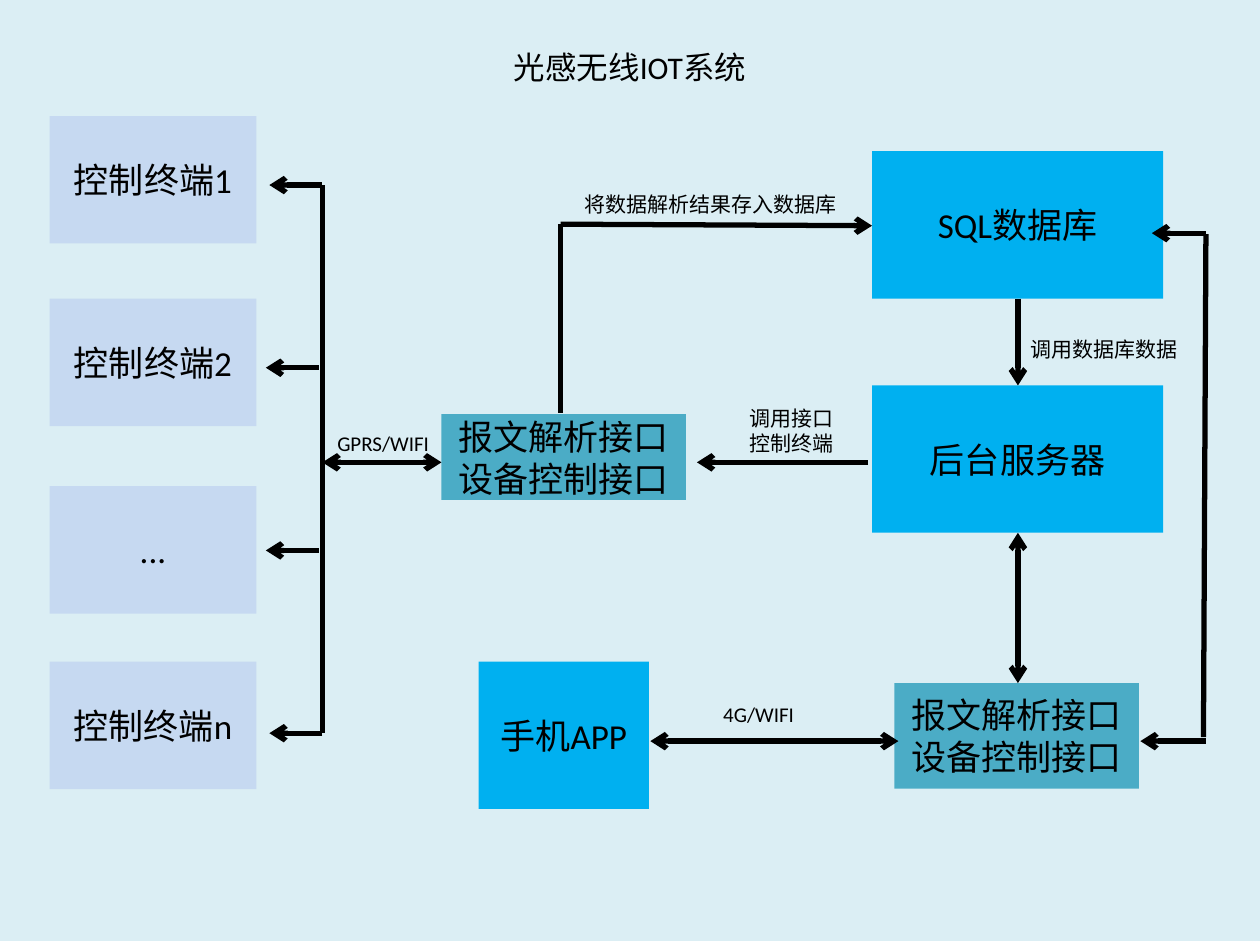
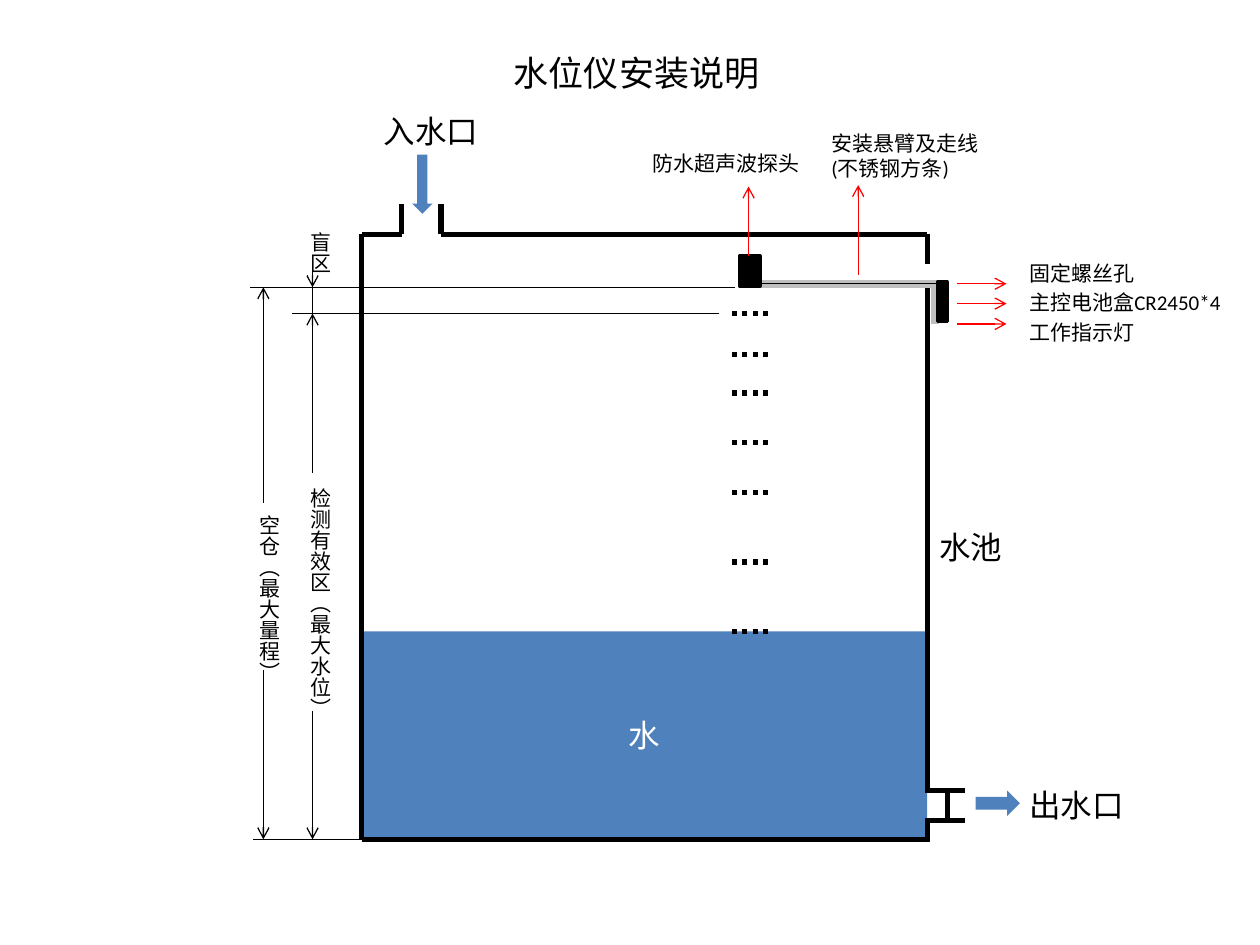
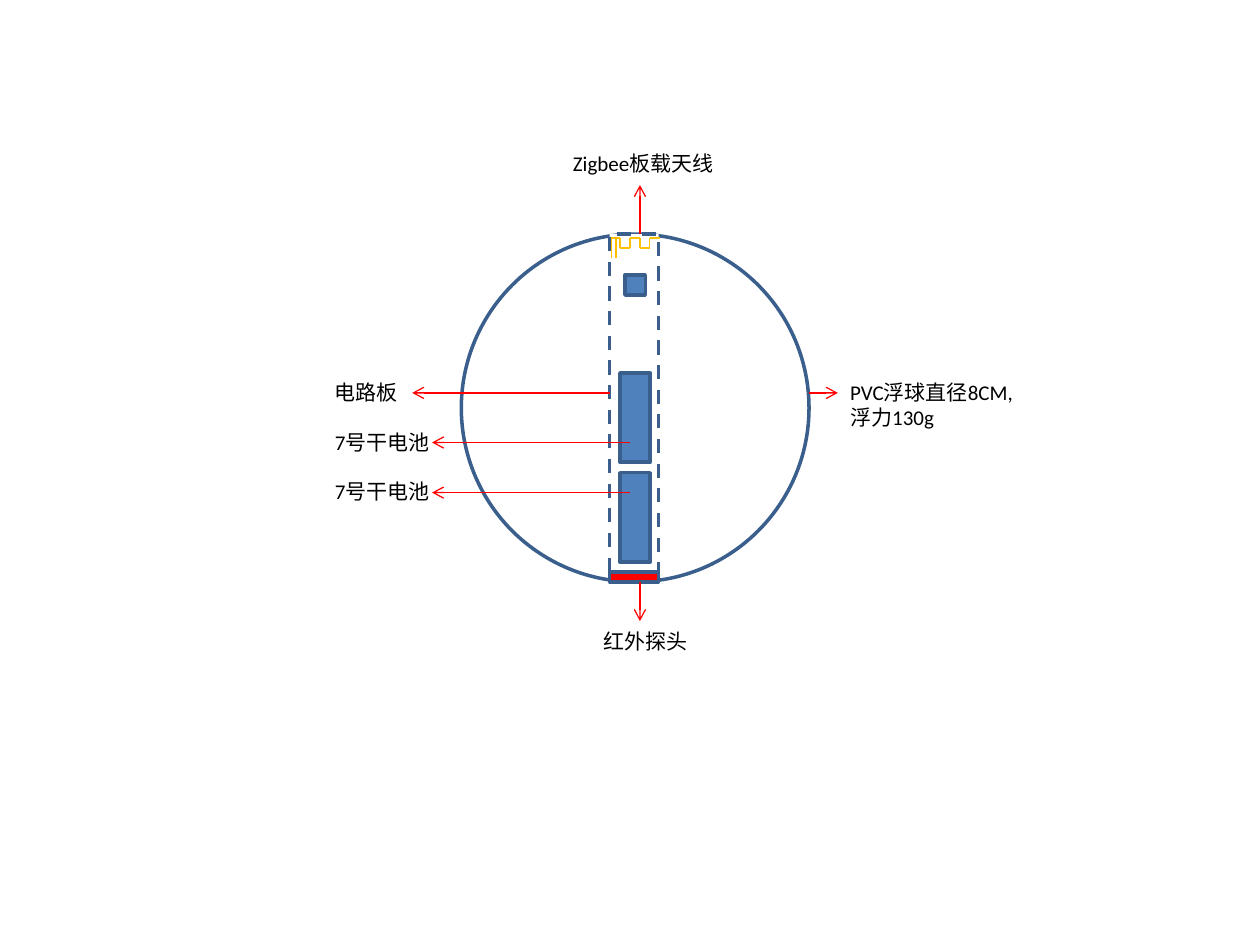
import itertools
from dataclasses import dataclass

import pptx
import pptx.dml.color
import pptx.enum.dml
import pptx.enum.shapes
import pptx.enum.text
import pptx.oxml.ns
import pptx.util
from lxml import etree

Cm = pptx.util.Cm
Shape = pptx.enum.shapes.MSO_SHAPE
Anchor = pptx.enum.text.MSO_ANCHOR
Dash = pptx.enum.dml.MSO_LINE
qn = pptx.oxml.ns.qn


@dataclass(frozen=True)
class Theme:
    font: str = "Calibri"
    black: str = "000000"
    white: str = "FFFFFF"
    backdrop: str = "DBEEF4"
    terminal: str = "C6D9F1"
    service: str = "00B0F0"
    interface: str = "4BACC6"
    blue: str = "4F81BD"
    outline: str = "3A5F8C"
    steel: str = "BFBFBF"
    red: str = "FF0000"
    antenna: str = "FFC000"
    small: float = 12
    medium: float = 18
    large: float = 20
    thin: float = 0.75
    border: float = 2
    thick: float = 3
    arm: float = 4.5


THEME = Theme()


def rgb(value):
    return pptx.dml.color.RGBColor.from_string(value)


class Canvas:
    """Draws on the current slide; all lengths are centimetres."""

    def __init__(self, presentation, theme):
        self.presentation = presentation
        self.theme = theme
        self.slide = None

    def new_slide(self):
        self.slide = self.presentation.slides.add_slide(self.presentation.slide_layouts[6])

    def set_text(self, text_frame, text, size, color, alignment):
        text_frame.text = text
        for paragraph in text_frame.paragraphs:
            paragraph.alignment = alignment
            paragraph.font.name = self.theme.font
            paragraph.font.size = pptx.util.Pt(size)
            paragraph.font.color.rgb = rgb(color)

    def box(self, left, top, width, height, fill, text="", size=THEME.large, color=THEME.black,
            kind=Shape.RECTANGLE, outline=None, dash=None):
        shape = self.slide.shapes.add_shape(kind, Cm(left), Cm(top), Cm(width), Cm(height))
        shape.shadow.inherit = False
        shape.fill.solid()
        shape.fill.fore_color.rgb = rgb(fill)
        if outline:
            shape.line.color.rgb = rgb(outline)
            shape.line.width = pptx.util.Pt(self.theme.border)
            if dash:
                shape.line.dash_style = dash
        else:
            shape.line.fill.background()
        if text:
            shape.text_frame.vertical_anchor = Anchor.MIDDLE
            self.set_text(shape.text_frame, text, size, color, pptx.enum.text.PP_ALIGN.CENTER)
        return shape

    def label(self, text, left, top, width, height, size=THEME.small, wrap=False, vertical=False):
        shape = self.slide.shapes.add_textbox(Cm(left), Cm(top), Cm(width), Cm(height))
        text_frame = shape.text_frame
        text_frame.word_wrap = wrap
        text_frame.auto_size = pptx.enum.text.MSO_AUTO_SIZE.SHAPE_TO_FIT_TEXT
        if vertical:
            text_frame._txBody.find(qn("a:bodyPr")).set("vert", "eaVert")
        self.set_text(text_frame, text, size, self.theme.black, pptx.enum.text.PP_ALIGN.LEFT)

    def line(self, x1, y1, x2, y2, color=THEME.black, width=THEME.thick, ends="", dash=None):
        """Straight line; ends names its arrowheads, such as "tail" or "head tail"."""
        connector = self.slide.shapes.add_connector(
            pptx.enum.shapes.MSO_CONNECTOR.STRAIGHT, Cm(x1), Cm(y1), Cm(x2), Cm(y2))
        connector.line.color.rgb = rgb(color)
        connector.line.width = pptx.util.Pt(width)
        if dash:
            connector.line.dash_style = dash
        properties = connector._element.spPr
        for end in ends.split():
            etree.SubElement(properties.find(qn("a:ln")), qn(f"a:{end}End"), type="arrow")
        etree.SubElement(properties, qn("a:effectLst"))

    def arrow(self, x1, y1, x2, y2, ends="tail"):
        self.line(x1, y1, x2, y2, ends=ends)

    def thin_line(self, x1, y1, x2, y2, ends=""):
        self.line(x1, y1, x2, y2, width=self.theme.thin, ends=ends)

    def pointer(self, x1, y1, x2, y2):
        self.line(x1, y1, x2, y2, self.theme.red, self.theme.thin, "tail")

    def polyline(self, points, color, width):
        for start, end in itertools.pairwise(points):
            self.line(*start, *end, color, width)


def draw_system(canvas):
    theme = canvas.theme
    canvas.new_slide()
    backdrop = canvas.box(-0.05, -0.33, 25.5, 19.3, theme.backdrop, "光感无线IOT系统", theme.medium)
    backdrop.text_frame.vertical_anchor = Anchor.TOP
    backdrop.text_frame.margin_top = Cm(1.3)

    for top, name in zip((2.34, 6.02, 9.8, 13.34), ("控制终端1", "控制终端2", "...", "控制终端n")):
        canvas.box(1, top, 4.17, 2.57, theme.terminal, name)
    interface_text = "报文解析接口\n设备控制接口"
    canvas.box(8.9, 8.35, 4.93, 1.73, theme.interface, interface_text)
    canvas.box(18.03, 13.77, 4.93, 2.13, theme.interface, interface_text)
    canvas.box(17.58, 3.05, 5.87, 2.97, theme.service, "SQL数据库")
    canvas.box(17.58, 7.77, 5.87, 2.97, theme.service, "后台服务器")
    canvas.box(9.65, 13.34, 3.43, 2.97, theme.service, "手机APP")

    bus_x, bus_top, bus_bottom = 6.5, 3.73, 14.78
    branch_gap = (bus_bottom - bus_top) / 3
    canvas.line(bus_x, bus_top, bus_x, bus_bottom)
    for index, start in enumerate((bus_x, 6.43, 6.43, bus_x)):
        y = bus_top + index * branch_gap
        canvas.arrow(start, y, start - 1.07, y)

    control_y, app_y, server_x, return_x = 9.32, 14.94, 20.52, 24.31
    canvas.arrow(8.9, control_y, bus_x, control_y, "head tail")
    canvas.arrow(17.5, control_y, 14.05, control_y)
    canvas.line(11.3, 4.52, 11.3, 8.33)
    canvas.arrow(11.3, 4.52, 17.58, 4.55)
    canvas.arrow(server_x, 6.02, server_x, 7.77)
    canvas.arrow(server_x, 10.74, server_x, 13.77, "head tail")
    canvas.arrow(18.11, app_y, 13.11, app_y, "head tail")
    canvas.arrow(return_x, app_y, 22.99, app_y)
    canvas.line(return_x, 4.72, 24.26, 14.86)
    canvas.arrow(return_x, 4.7, 23.22, 4.7)

    canvas.label("GPRS/WIFI", 6.55, 8.56, 2.36, 0.76)
    canvas.label("调用接口\n控制终端", 14.86, 8.05, 2.21, 1.27)
    canvas.label("将数据解析结果存入数据库", 11.53, 3.73, 5.82, 0.76, wrap=True)
    canvas.label("4G/WIFI", 14.33, 14.02, 1.93, 0.76)
    canvas.label("调用数据库数据", server_x, 6.65, 3.48, 0.76)


def draw_tank(canvas):
    theme = canvas.theme
    left, right, top, bottom = 7.29, 18.69, 4.72, 16.92
    inlet_left, inlet_right, inlet_top = 8.1, 8.89, 4.11
    outlet_top, outlet_bottom, outlet_end = 15.93, 16.54, 19.1
    arm_y, surface_y = 5.72, 12.73
    canvas.new_slide()
    canvas.label("水位仪安装说明", 10.11, 0.91, 5.51, 1.12, theme.large)

    canvas.box(left, surface_y, right - left, bottom - surface_y, theme.blue, "水", theme.medium, theme.white)
    for wall in (
        (left, bottom, left, top),
        (right, outlet_top, right, arm_y),
        (left, bottom, right, bottom),
        (inlet_right, top, right, top),
        (inlet_left, top, left, top),
        (inlet_left, top, inlet_left, inlet_top),
        (inlet_right, top, inlet_right, inlet_top),
        (right, 5.33, right, top),
        (right, 16.97, right, 16.56),
        (outlet_end, outlet_bottom, outlet_end, outlet_top),
        (19.46, outlet_top, 18.64, outlet_top),
        (19.46, outlet_bottom, 18.64, outlet_bottom),
    ):
        canvas.line(*wall)
    canvas.box(8.31, 3.12, 0.41, 1.19, theme.blue, kind=Shape.DOWN_ARROW)
    canvas.box(19.67, 15.94, 0.89, 0.51, theme.blue, kind=Shape.RIGHT_ARROW)
    for text, x, y, width in (("入水口", 7.49, 2.13, 2.44), ("水池", right, 10.52, 1.8),
                              ("出水口", 20.5, 15.72, 2.44)):
        canvas.label(text, x, y, width, 1.02, theme.medium)

    canvas.line(18.9, arm_y, 14.91, arm_y, theme.steel, theme.arm)
    canvas.line(18.85, 6.53, 18.85, arm_y, theme.steel, theme.arm)
    canvas.box(14.91, 5.16, 0.41, 0.61, theme.black, outline=theme.black)
    canvas.box(18.9, 5.69, 0.2, 0.79, theme.black, outline=theme.black)
    canvas.thin_line(19.1, arm_y, 15.09, arm_y)
    for y in (6.32, 7.14, 7.92, 8.92, 9.93, 11.33, surface_y):
        canvas.line(15.49, y, 14.71, y, dash=Dash.ROUND_DOT)

    for text, pointer_y, label_y, width in (
        ("固定螺丝孔", 5.72, 5.13, 4.19),
        ("主控电池盒CR2450*4", 6.12, 5.72, 4.9),
        ("工作指示灯", 6.53, 6.32, 4.19),
    ):
        canvas.pointer(19.3, pointer_y, 20.29, pointer_y)
        canvas.label(text, 20.5, label_y, width, 0.76, wrap=True)
    canvas.pointer(15.09, 5.16, 15.09, 3.76)
    canvas.label("防水超声波探头", 12.9, 2.92, 3.61, 0.76, wrap=True)
    canvas.pointer(17.3, 5.54, 17.3, 3.73)
    canvas.label("安装悬臂及走线\n(不锈钢方条)", 16.51, 2.51, 4.19, 1.27, wrap=True)

    probe_y, valid_y, range_x, valid_x = 5.79, 6.32, 5.31, 6.3
    canvas.thin_line(14.5, valid_y, 5.89, valid_y)
    canvas.thin_line(14.81, probe_y, 5.03, probe_y)
    canvas.thin_line(left, bottom, 5.11, bottom)
    canvas.thin_line(valid_x, arm_y, valid_x, valid_y)
    for x, start, end in ((valid_x, 5.33, probe_y), (range_x, 10.13, probe_y), (range_x, 13.51, bottom),
                          (valid_x, 9.53, valid_y), (valid_x, 14.33, bottom)):
        canvas.thin_line(x, start, x, end, "tail")
    for text, x, y, height in (("空仓（最大量程）", 4.78, 10.13, 3.68),
                               ("检测有效区（最大水位）", 5.82, 9.58, 4.95),
                               ("盲区", 5.82, 4.42, 1.12)):
        canvas.label(text, x, y, 1.02, height, vertical=True)


def draw_float(canvas):
    theme = canvas.theme
    canvas.new_slide()
    canvas.box(9.3, 4.72, 7.01, 7.01, theme.white, kind=Shape.OVAL, outline=theme.outline)
    canvas.box(12.29, 4.72, 0.99, 6.81, theme.white, outline=theme.outline, dash=Dash.DASH)
    canvas.box(12.29, 11.53, 0.99, 0.2, theme.red, outline=theme.outline)
    for battery_top in (7.52, 9.53):
        canvas.box(12.5, battery_top, 0.61, 1.8, theme.blue, outline=theme.outline)
    canvas.box(12.6, 5.54, 0.41, 0.41, theme.blue, outline=theme.outline)

    high, low, foot = 4.8, 5, 5.21
    antenna = [(12.32, foot), (12.32, high)]
    for index, x in enumerate((12.5, 12.7, 12.9, 13.1)):
        antenna += [(x, high), (x, low)] if index % 2 == 0 else [(x, low), (x, high)]
    antenna.append((13.31, high))
    for points in (antenna, [(12.42, foot), (12.42, high)]):
        canvas.polyline(points, theme.antenna, theme.thin)

    for pointer, text, place in (
        ((16.31, 7.92, 16.89, 7.92), "PVC浮球直径8CM,\n浮力130g", (16.89, 7.52, 3.81, 1.27)),
        ((12.9, 4.72, 12.9, 3.73), "Zigbee板载天线", (11.3, 2.92, 3.4, 0.76)),
        ((12.9, 11.73, 12.9, 12.52), "红外探头", (11.91, 12.55, 2.79, 0.76)),
        ((12.29, 7.92, 8.31, 7.92), "电路板", (6.5, 7.52, 2.11, 0.76)),
        ((12.7, 8.92, 8.71, 8.92), "7号干电池", (6.5, 8.53, 2.59, 0.76)),
        ((12.7, 9.93, 8.71, 9.93), "7号干电池", (6.5, 9.53, 2.59, 0.76)),
    ):
        canvas.pointer(*pointer)
        canvas.label(text, *place, wrap=True)


def main():
    presentation = pptx.Presentation()
    presentation.slide_width = Cm(25.4)
    presentation.slide_height = Cm(19.05)
    canvas = Canvas(presentation, THEME)
    draw_system(canvas)
    draw_tank(canvas)
    draw_float(canvas)
    presentation.save("out.pptx")


if __name__ == "__main__":
    main()
